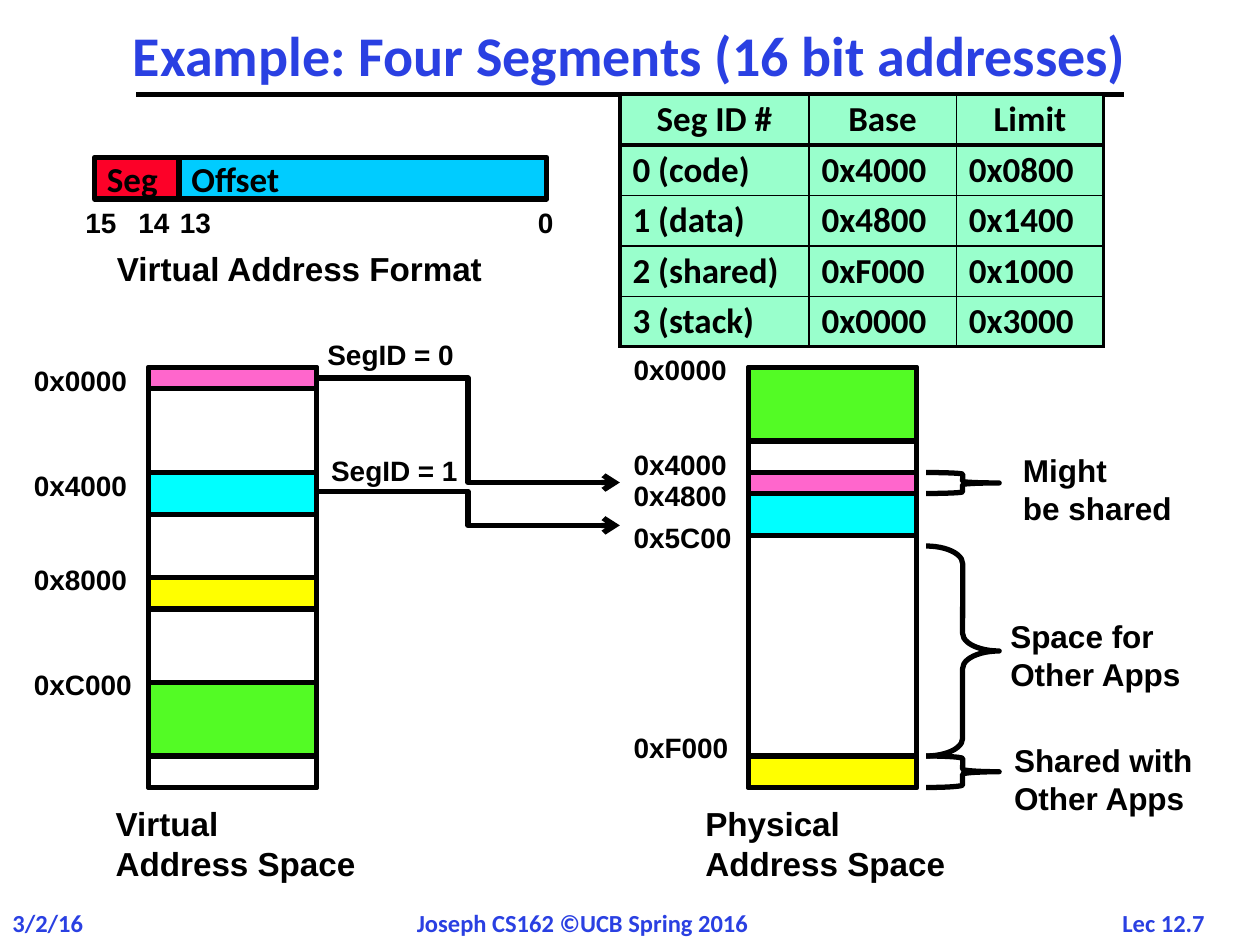
from dataclasses import dataclass

import pptx
import pptx.dml.color
import pptx.enum.shapes
import pptx.enum.text
import pptx.oxml
import pptx.oxml.ns
import pptx.util
from pptx.util import Inches

SHAPES = pptx.enum.shapes.MSO_SHAPE
CONNECTORS = pptx.enum.shapes.MSO_CONNECTOR
ALIGN = pptx.enum.text.PP_ALIGN
ANCHOR = pptx.enum.text.MSO_ANCHOR
AUTO_SIZE = pptx.enum.text.MSO_AUTO_SIZE


@dataclass(frozen=True)
class Theme:
    heading_font: str = "Calibri"
    label_font: str = "Arial"
    ink: str = "000000"
    accent: str = "2A40E2"
    table: str = "99FFCC"
    seg: str = "FC0128"
    offset: str = "00CCFF"
    code: str = "FF66CC"
    data: str = "00FFFF"
    shared: str = "FFFF00"
    stack: str = "53FB25"
    title_size: int = 32
    heading_size: int = 20
    caption_size: int = 19
    note_size: int = 18
    label_size: int = 16
    footer_size: int = 14
    line: float = 3
    frame: float = 2.25
    hairline: float = 1


THEME = Theme()
UNIT = 1 / 12  # the memory maps lie on a grid of twelfths of an inch
MAP_TOP, MAP_HEIGHT, MAP_WIDTH = 35, 40, 16
ADDRESS_WIDTH = 1.01  # holds the widest address on one line

# Top and height in grid units, then fill
VIRTUAL_SEGMENTS = [(45, 4, THEME.data), (35, 2, THEME.code), (65, 7, THEME.stack),
                    (65, 10, None), (55, 3, THEME.shared)]
PHYSICAL_SEGMENTS = [(45, 2, THEME.code), (47, 4, THEME.data),
                     (35, 7, THEME.stack), (72, 3, THEME.shared)]
VIRTUAL_LABELS = [(34, "0x0000"), (44, "0x4000"), (53, "0x8000"), (63, "0xC000")]
PHYSICAL_LABELS = [(33, "0x0000"), (42, "0x4000"), (45, "0x4800"),
                   (49, "0x5C00"), (69, "0xF000")]
SEGMENT_TABLE = [
    ("Seg ID #", "Base", "Limit"),
    ("0 (code)", "0x4000", "0x0800"),
    ("1 (data)", "0x4800", "0x1400"),
    ("2 (shared)", "0xF000", "0x1000"),
    ("3 (stack)", "0x0000", "0x3000"),
]


def rgb(color):
    return pptx.dml.color.RGBColor.from_string(color)


def write(frame, text, size, font, color=THEME.ink, align=ALIGN.LEFT, spacing=None):
    frame.text = text
    for paragraph in frame.paragraphs:
        paragraph.alignment = align
        paragraph.line_spacing = spacing
        for run in paragraph.runs:
            run.font.size = pptx.util.Pt(size)
            run.font.name = font
            run.font.bold = True
            run.font.color.rgb = rgb(color)


def add_label(slide, text, left, top, width, height=0.37,
              size=THEME.label_size, font=THEME.label_font, **style):
    box = slide.shapes.add_textbox(*map(Inches, (left, top, width, height)))
    box.text_frame.word_wrap = False
    box.text_frame.auto_size = AUTO_SIZE.SHAPE_TO_FIT_TEXT
    write(box.text_frame, text, size, font, **style)


def add_outlined(slide, kind, left, top, width, height, fill=None):
    shape = slide.shapes.add_shape(kind, *map(Inches, (left, top, width, height)))
    shape.shadow.inherit = False
    shape.line.color.rgb = rgb(THEME.ink)
    shape.line.width = pptx.util.Pt(THEME.line)
    if fill:
        shape.fill.solid()
        shape.fill.fore_color.rgb = rgb(fill)
    else:
        shape.fill.background()
    return shape


def add_line(slide, kind, start, end, arrow=False):
    line = slide.shapes.add_connector(kind, *map(Inches, (*start, *end)))
    line.line.color.rgb = rgb(THEME.ink)
    line.line.width = pptx.util.Pt(THEME.line)
    if arrow:
        tail = pptx.oxml.parse_xml(
            f'<a:tailEnd {pptx.oxml.ns.nsdecls("a")} type="arrow"/>')
        line.line._get_or_add_ln().append(tail)
    line._element.spPr.append(
        pptx.oxml.parse_xml(f'<a:effectLst {pptx.oxml.ns.nsdecls("a")}/>'))


def add_title(slide):
    title = slide.shapes.title
    title.left, title.top, title.width, title.height = map(Inches, (0, 0.17, 10, 0.58))
    title.text_frame.auto_size = AUTO_SIZE.NONE
    title.text_frame.vertical_anchor = ANCHOR.MIDDLE
    write(title.text_frame, "Example: Four Segments (16 bit addresses)",
          THEME.title_size, THEME.heading_font, THEME.accent, ALIGN.CENTER, 0.9)
    add_line(slide, CONNECTORS.STRAIGHT, (1.08, 0.75), (8.92, 0.75))


def add_footer(slide):
    for text, left, width, align in [
        ("3/2/16", 0, 0.8, ALIGN.LEFT),
        ("Joseph CS162 ©UCB Spring 2016", 3.21, 2.88, ALIGN.LEFT),
        ("Lec 12.7", 8.72, 1.03, ALIGN.CENTER),
    ]:
        add_label(slide, text, left, 7.16, width, 0.34, THEME.footer_size,
                  THEME.heading_font, color=THEME.accent, align=align)


def set_borders(cell, **widths):
    for side, points in widths.items():
        cell._tc.get_or_add_tcPr().append(pptx.oxml.parse_xml(
            f'<a:ln{side} {pptx.oxml.ns.nsdecls("a")} w="{pptx.util.Pt(points)}">'
            f'<a:solidFill><a:srgbClr val="{THEME.ink}"/></a:solidFill></a:ln{side}>'))


def add_segment_table(slide):
    rows, columns = len(SEGMENT_TABLE), len(SEGMENT_TABLE[0])
    table = slide.shapes.add_table(
        rows, columns, *map(Inches, (4.92, 0.75, 3.84, 2))).table
    table.first_row = table.horz_banding = False
    for column, width in zip(table.columns, (1.5, 1.17, 1.17)):
        column.width = Inches(width)
    row_lines = [THEME.frame, THEME.line] + [THEME.hairline] * (rows - 2) + [THEME.frame]
    column_lines = [THEME.frame] + [THEME.hairline] * (columns - 1) + [THEME.frame]
    for r, texts in enumerate(SEGMENT_TABLE):
        for c, text in enumerate(texts):
            cell = table.cell(r, c)
            write(cell.text_frame, text, THEME.heading_size, THEME.heading_font,
                  align=ALIGN.LEFT if r else ALIGN.CENTER, spacing=0.9)
            set_borders(cell, L=column_lines[c], R=column_lines[c + 1],
                        T=row_lines[r], B=row_lines[r + 1])
            cell.fill.solid()
            cell.fill.fore_color.rgb = rgb(THEME.table)


def add_address_format(slide):
    for text, left, width, fill in [("Offset", 1.42, 2.92, THEME.offset),
                                    ("Seg", 0.75, 0.67, THEME.seg)]:
        field = add_outlined(slide, SHAPES.RECTANGLE, left, 1.25, width, 0.33, fill)
        field.text_frame.word_wrap = False
        field.text_frame.vertical_anchor = ANCHOR.MIDDLE
        write(field.text_frame, text, THEME.heading_size, THEME.heading_font)
    for bit, left, width in [("15", 0.58, 0.45), ("14", 1, 0.45),
                             ("13", 1.33, 0.45), ("0", 4.17, 0.32)]:
        add_label(slide, bit, left, 1.58, width)
    add_label(slide, "Virtual Address Format", 0.83, 1.92, 3.15, 0.42,
              THEME.caption_size)


def add_memory_map(slide, name, left, segments, labels, label_left, caption_left):
    for top, height, fill in [(MAP_TOP, MAP_HEIGHT, None), *segments]:
        add_outlined(slide, SHAPES.RECTANGLE, left, top * UNIT,
                     MAP_WIDTH * UNIT, height * UNIT, fill)
    for top, address in labels:
        add_label(slide, address, label_left, top * UNIT, ADDRESS_WIDTH)
    add_label(slide, f"{name}\nAddress Space", caption_left, 6.33, 2.14, 0.74,
              THEME.caption_size)


def add_brace_note(slide, top, height, curve, text, text_left, text_top, text_width):
    brace = add_outlined(slide, SHAPES.RIGHT_BRACE, 7.35, top * UNIT, 0.58, height * UNIT)
    brace.adjustments[0] = curve
    add_label(slide, text, text_left, text_top, text_width, 0.7, THEME.note_size)


def add_mapping(slide, text, label_at, start, end):
    add_line(slide, CONNECTORS.ELBOW, start, end, arrow=True)
    add_label(slide, text, *label_at, 1.22)


def main():
    deck = pptx.Presentation()
    deck.slide_width, deck.slide_height = Inches(10), Inches(7.5)
    slide = deck.slides.add_slide(deck.slide_layouts.get_by_name("Title Only"))
    add_footer(slide)
    add_title(slide)
    add_segment_table(slide)
    add_address_format(slide)
    add_memory_map(slide, "Virtual", 1.18, VIRTUAL_SEGMENTS, VIRTUAL_LABELS, 0.17, 0.82)
    add_memory_map(slide, "Physical", 5.94, PHYSICAL_SEGMENTS, PHYSICAL_LABELS, 4.93, 5.5)
    add_brace_note(slide, 52, 20, 0.24, "Space for\nOther Apps", 7.92, 4.85, 1.56)
    add_brace_note(slide, 45, 2, 0.08, "Might\nbe shared", 8.02, 3.53, 1.39)
    add_brace_note(slide, 72, 3, 0.08, "Shared with\nOther Apps", 7.95, 5.83, 1.63)
    add_mapping(slide, "SegID = 0", (2.5, 2.63), (2.51, 3), (4.92, 3.83))
    add_mapping(slide, "SegID = 1", (2.53, 3.55), (2.51, 3.9), (4.92, 4.17))
    deck.save("out.pptx")


if __name__ == "__main__":
    main()
